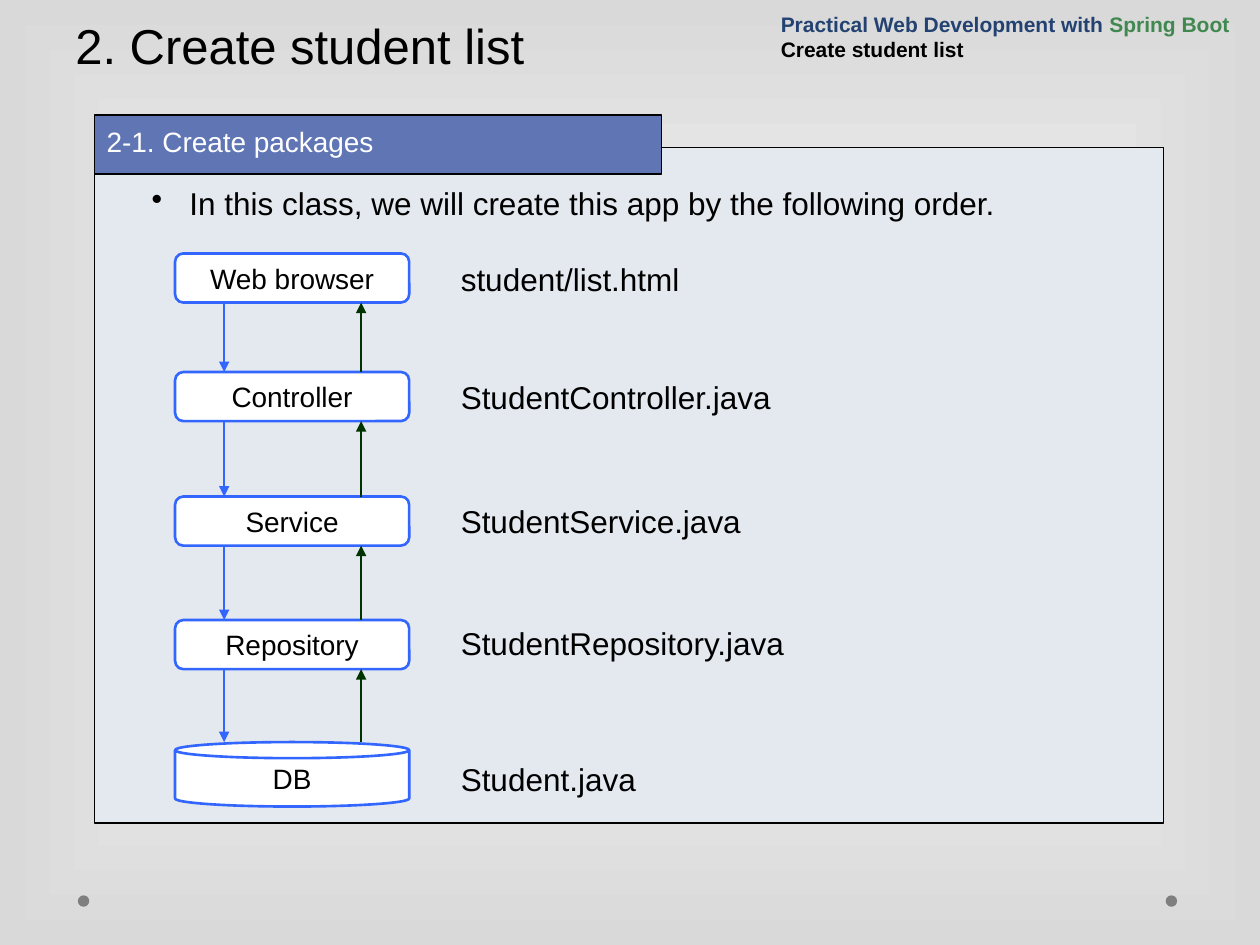
from dataclasses import dataclass

import pptx
import pptx.dml.color
import pptx.enum.shapes
import pptx.enum.text
import pptx.oxml
import pptx.oxml.ns
import pptx.util

Cm = pptx.util.Cm
Pt = pptx.util.Pt
Shape = pptx.enum.shapes.MSO_SHAPE
Anchor = pptx.enum.text.MSO_ANCHOR
Align = pptx.enum.text.PP_ALIGN


@dataclass(frozen=True)
class Theme:
    """Colours, font and type sizes of the deck."""
    font: str = "Arial"
    ink: str = "000000"
    white: str = "FFFFFF"
    backdrop: str = "D9D9D9"
    dot: str = "7F7F7F"
    panel: str = "E4E9EF"
    banner: str = "6076B4"
    request: str = "3366FF"
    response: str = "003300"
    course: str = "234271"
    framework: str = "40884F"
    title_size: int = 28
    body_size: int = 18
    label_size: int = 16
    header_size: int = 12


@dataclass(frozen=True)
class Box:
    """A region of the page, in centimetres."""
    left: float
    top: float
    width: float
    height: float

    def inner(self, left, top, width, height):
        """Return a box placed relative to this one."""
        return Box(self.left + left, self.top + top, width, height)

    def lengths(self):
        """Return the four lengths for python-pptx."""
        return Cm(self.left), Cm(self.top), Cm(self.width), Cm(self.height)


@dataclass(frozen=True)
class Stage:
    """One layer of the application and the file that holds it."""
    name: str
    file: str
    top: float
    label_top: float
    height: float = 0.99
    kind: int = Shape.ROUNDED_RECTANGLE


THEME = Theme()
STAGES = [
    Stage("Web browser", "student/list.html", 1.36, 1.36),
    Stage("Controller", "StudentController.java", 3.75, 3.75),
    Stage("Service", "StudentService.java", 6.26, 6.24),
    Stage("Repository", "StudentRepository.java", 8.75, 8.7),
    Stage("DB", "Student.java", 11.21, 11.44, 1.3, Shape.CAN),
]


def colour(value):
    """Turn a hex string into a colour."""
    return pptx.dml.color.RGBColor.from_string(value)


def add_properties(parent, xml):
    """Append a DrawingML fragment to an element."""
    tag = xml.split()[0].strip("</>")
    opening = f"<{tag} {pptx.oxml.ns.nsdecls('a')}"
    element = pptx.oxml.parse_xml(xml.replace(f"<{tag}", opening, 1))
    parent.append(element)


def style_spans(para, size, *colours, bold=False):
    """Format the runs of a paragraph, one colour for each run."""
    for span, value in zip(para.runs, colours):
        span.font.name = THEME.font
        span.font.size = Pt(size)
        span.font.bold = bold
        span.font.color.rgb = colour(value)


def add_shape(page, box, kind, fill, line=None, weight=0.75):
    """Add a filled preset shape without a shadow."""
    shape = page.shapes.add_shape(kind, *box.lengths())
    shape.shadow.inherit = False
    shape.fill.solid()
    shape.fill.fore_color.rgb = colour(fill)
    if line:
        shape.line.color.rgb = colour(line)
        shape.line.width = Pt(weight)
    else:
        shape.line.fill.background()
    return shape


def add_text(page, box, text, size, anchor=Anchor.TOP):
    """Add a wrapping text box and return its first paragraph."""
    frame = page.shapes.add_textbox(*box.lengths()).text_frame
    frame.word_wrap = True
    frame.vertical_anchor = anchor
    frame.text = text
    style_spans(frame.paragraphs[0], size, THEME.ink)
    return frame.paragraphs[0]


def add_arrow(page, x, start, end, value):
    """Add a vertical arrow that points at its end."""
    arrow = page.shapes.add_connector(
        pptx.enum.shapes.MSO_CONNECTOR.STRAIGHT, Cm(x), Cm(start), Cm(x), Cm(end))
    arrow.line.color.rgb = colour(value)
    arrow.line.width = Pt(1.5)
    add_properties(arrow.line._get_or_add_ln(), '<a:tailEnd type="triangle"/>')
    add_properties(arrow._element.spPr, "<a:effectLst />")


def draw_backdrop(page, box):
    """Fill the background and place the two corner dots."""
    fill = page.background.fill
    fill.gradient()
    for stop, value in zip(fill.gradient_stops, (THEME.white, THEME.backdrop)):
        stop.color.rgb = colour(value)
    gradient = page.background._cSld.find(".//" + pptx.oxml.ns.qn("a:gradFill"))
    gradient.remove(gradient.find(pptx.oxml.ns.qn("a:lin")))
    add_properties(
        gradient,
        '<a:path path="rect"><a:fillToRect l="50000" t="50000" r="50000" b="50000"/></a:path>')
    for left in (1.57, 23.5):
        add_shape(page, box.inner(left, 18.05, 0.23, 0.23), Shape.OVAL, THEME.dot)


def draw_header(page, box):
    """Write the slide title and the course name."""
    title = add_text(page, box.inner(1.27, 0, 14.22, 1.63), "2. Create student list",
                     THEME.title_size, Anchor.BOTTOM)
    title.line_spacing = Pt(58)
    course = add_text(page, box.inner(15.49, 0, 9.91, 1.37),
                      "Practical Web Development with ", THEME.header_size, Anchor.BOTTOM)
    course.add_run().text = "Spring Boot"
    style_spans(course, THEME.header_size, THEME.course, THEME.framework, bold=True)
    topic = page.shapes[-1].text_frame.add_paragraph()
    topic.text = "Create student list"
    style_spans(topic, THEME.header_size, THEME.ink, bold=True)


def draw_panel(page, box):
    """Draw the panel with its banner and opening bullet."""
    add_shape(page, box, Shape.RECTANGLE, THEME.panel, THEME.ink)
    banner = add_shape(page, box.inner(0, -0.66, 11.43, 1.19), Shape.RECTANGLE,
                       THEME.banner, THEME.ink)
    banner.text_frame.text = "2-1. Create packages"
    banner.text_frame.vertical_anchor = Anchor.TOP
    heading = banner.text_frame.paragraphs[0]
    heading.alignment = Align.LEFT
    heading.line_spacing = 1.1
    heading.space_before = Pt(4)
    style_spans(heading, THEME.label_size, THEME.white)
    bullet = add_text(page, box.inner(0.91, 0.61, 19.66, 1.02),
                      "In this class, we will create this app by the following order.",
                      THEME.body_size)
    properties = bullet._p.get_or_add_pPr()
    indent = Cm(0.76)
    properties.set("marL", str(indent))
    properties.set("indent", str(-indent))
    add_properties(properties, '<a:buChar char="•"/>')


def draw_stage(page, box, stage):
    """Draw one layer and name its file beside it."""
    node = add_shape(page, box.inner(1.63, stage.top, 4.72, stage.height), stage.kind,
                     THEME.white, THEME.request, 1.5)
    frame = node.text_frame
    frame.word_wrap = False
    frame.vertical_anchor = Anchor.MIDDLE
    frame.text = stage.name
    frame.paragraphs[0].alignment = Align.CENTER
    style_spans(frame.paragraphs[0], THEME.label_size, THEME.ink)
    add_text(page, box.inner(7.14, stage.label_top, 8, 1.02), stage.file, THEME.body_size)


def draw_flow(page, box):
    """Stack the layers and join each pair with a request and a response."""
    for stage in STAGES:
        draw_stage(page, box, stage)
    for upper, lower in zip(STAGES, STAGES[1:]):
        start, end = box.top + upper.top + upper.height, box.top + lower.top
        add_arrow(page, box.left + 2.62, start, end, THEME.request)
        add_arrow(page, box.left + 5.38, end, start, THEME.response)


def main():
    """Build the deck and save it."""
    deck = pptx.Presentation()
    whole = Box(0, 0, 25.4, 19.05)
    deck.slide_width, deck.slide_height = Cm(whole.width), Cm(whole.height)
    page = deck.slides.add_slide(deck.slide_layouts[6])
    panel = whole.inner(1.9, 2.98, 21.56, 13.61)
    draw_backdrop(page, whole)
    draw_header(page, whole)
    draw_panel(page, panel)
    draw_flow(page, panel.inner(0, 0.77, panel.width, 12.84))
    deck.save("out.pptx")


if __name__ == "__main__":
    main()
